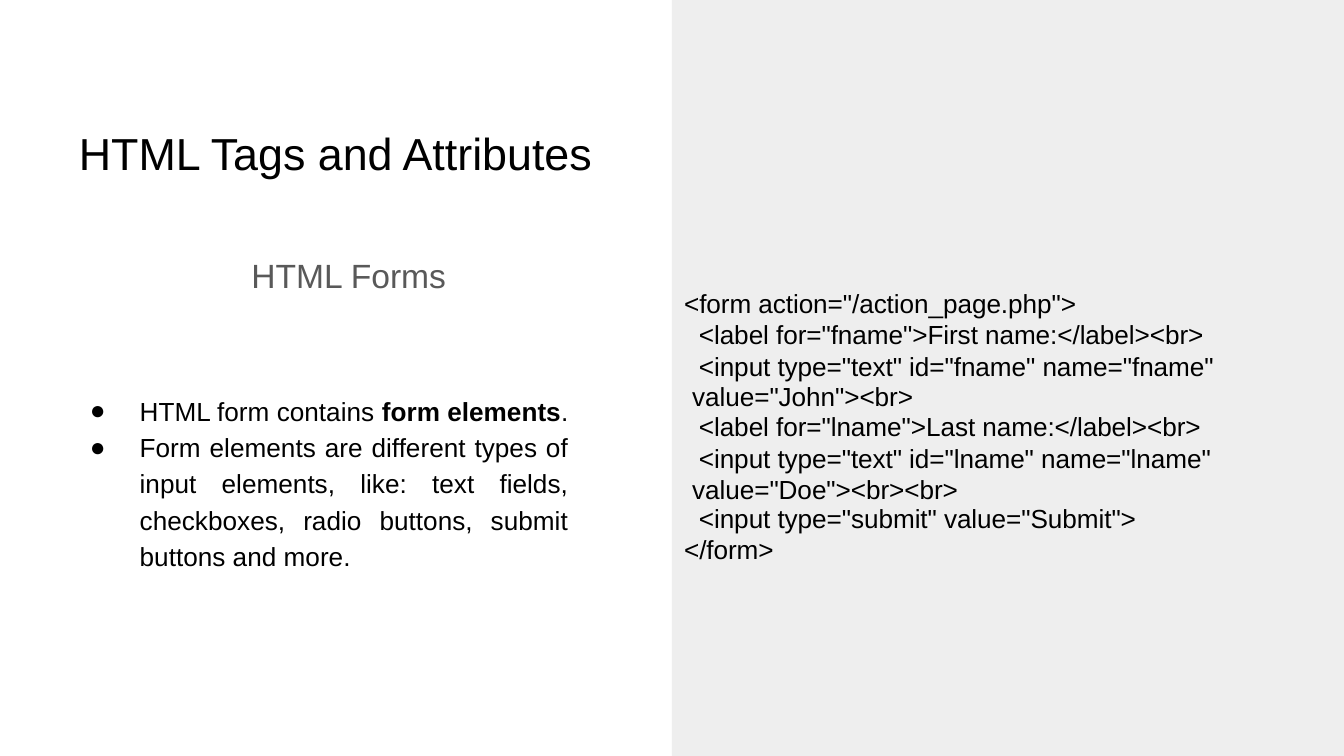
from lxml import etree
from pptx import Presentation
from pptx.dml.color import RGBColor
from pptx.enum.shapes import MSO_SHAPE
from pptx.enum.text import MSO_ANCHOR, PP_ALIGN
from pptx.oxml.ns import qn
from pptx.util import Inches, Pt

RECT = MSO_SHAPE.RECTANGLE
TOP, MIDDLE = MSO_ANCHOR.TOP, MSO_ANCHOR.MIDDLE
LEFT, CENTER, JUSTIFY = PP_ALIGN.LEFT, PP_ALIGN.CENTER, PP_ALIGN.JUSTIFY
FONT = "Arial"
COLORS = {"panel": "EEEEEE", "text": "000000", "subtitle": "595959"}
WIDTH = Inches(10)
HEIGHT = WIDTH * 9 // 16

FORM_POINTS = [
    [("HTML form contains ", False), ("form elements", True), (".", False)],
    [("Form elements are different types of input elements, like: text fields, "
      "checkboxes, radio buttons, submit buttons and more.", False)],
]

# Code text, (left margin, first-line indent), line spacing, space before
OUTER = (0.01, 0)
INNER = (0.12, 0)
WRAPPED = (0.07, 0.05)
CODE_LINES = [
    ('<form action="/action_page.php">', OUTER, 16.6, 1),
    ('<label for="fname">First name:</label><br>', INNER, 16.5, 0),
    ('<input type="text" id="fname" name="fname" value="John"><br>', WRAPPED, 16.5, 0.7),
    ('<label for="lname">Last name:</label><br>', INNER, 15.8, 0),
    ('<input type="text" id="lname" name="lname" value="Doe"><br><br>', WRAPPED, 16.5, 0.7),
    ('<input type="submit" value="Submit">', INNER, 15.8, 0),
    ("</form>", OUTER, 16.6, 0),
]


def rgb(name):
    return RGBColor.from_string(COLORS[name])


def write(p, text, size=14, color="text", bold=False, tracking=0):
    """Tracking is in hundredths of a point."""
    r = p.add_run()
    r.text = text
    r.font.name = FONT
    r.font.size = Pt(size)
    r.font.bold = bold
    r.font.color.rgb = rgb(color)
    if tracking:
        r._r.get_or_add_rPr().set("spc", str(tracking))


def set_paragraph(p, align=LEFT, margin=0.01, indent=0, before=0, spacing=None):
    """Margin and indent are inches; space before is points."""
    p.alignment = align
    p.space_before = Pt(before)
    if spacing is not None:
        p.line_spacing = spacing
    pPr = p._p.get_or_add_pPr()
    pPr.set("marL", str(Inches(margin)))
    pPr.set("indent", str(Inches(indent)))
    return pPr


class SlideBuilder:
    def __init__(self, prs):
        self.s = prs.slides.add_slide(prs.slide_layouts[6])

    def panel(self, x, y, w, h):
        sp = self.s.shapes.add_shape(RECT, x, y, w, h)
        sp.shadow.inherit = False
        sp.fill.solid()
        sp.fill.fore_color.rgb = rgb("panel")
        sp.line.fill.background()

    def text_frame(self, x, y, w, h, top=0.01, anchor=TOP):
        sp = self.s.shapes.add_textbox(Inches(x), Inches(y), Inches(w), Inches(h))
        tf = sp.text_frame
        tf.word_wrap = True
        tf.vertical_anchor = anchor
        tf.margin_left = tf.margin_right = tf.margin_bottom = 0
        tf.margin_top = Inches(top)
        return tf

    def heading(self, x, y, w, h, text, size, color="text", anchor=TOP):
        p = self.text_frame(x, y, w, h, anchor=anchor).paragraphs[0]
        set_paragraph(p, CENTER, before=1)
        write(p, text, size, color)

    def bullets(self, x, y, w, h, points):
        tf = self.text_frame(x, y, w, h, top=0.05)
        for i, runs in enumerate(points):
            p = tf.add_paragraph() if i else tf.paragraphs[0]
            pPr = set_paragraph(p, JUSTIFY, 0.38, -0.37,
                                before=0 if i else 3.7, spacing=1.16 if i else None)
            etree.SubElement(pPr, qn("a:buFont")).set("typeface", FONT)
            etree.SubElement(pPr, qn("a:buChar")).set("char", "●")
            for text, bold in runs:
                write(p, text, bold=bold)

    def code(self, x, y, w, h, lines):
        tf = self.text_frame(x, y, w, h)
        for i, (text, (margin, indent), spacing, before) in enumerate(lines):
            p = tf.add_paragraph() if i else tf.paragraphs[0]
            set_paragraph(p, LEFT, margin, indent, before, Pt(spacing))
            write(p, text, tracking=-5)


def main():
    prs = Presentation()
    prs.slide_width, prs.slide_height = WIDTH, HEIGHT
    slide = SlideBuilder(prs)
    slide.panel(WIDTH // 2, 0, WIDTH // 2, HEIGHT)
    slide.heading(0.28, 0.78, 4.42, 0.7, "HTML Tags and Attributes", 24, anchor=MIDDLE)
    slide.heading(1.85, 1.89, 1.48, 0.32, "HTML Forms", 18, "subtitle")
    slide.bullets(0.66, 2.89, 3.57, 1.38, FORM_POINTS)
    slide.code(5.08, 2.13, 4.05, 2.16, CODE_LINES)
    prs.save("out.pptx")


if __name__ == "__main__":
    main()
